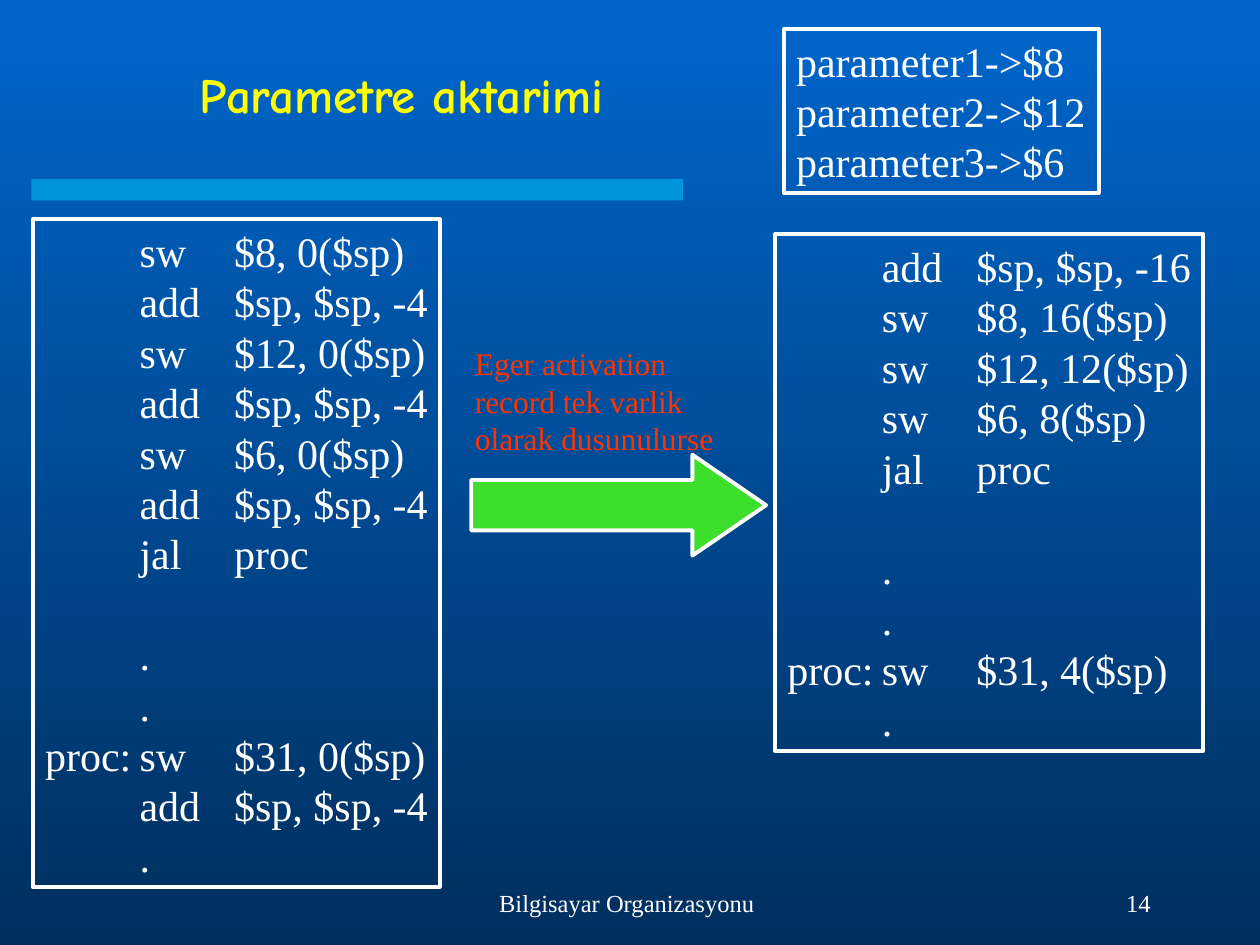
from lxml.etree import SubElement
from pptx import Presentation
from pptx.dml.color import RGBColor
from pptx.enum.shapes import MSO_SHAPE
from pptx.enum.text import MSO_ANCHOR, PP_ALIGN
from pptx.oxml.ns import qn
from pptx.util import Inches, Pt

HUES = {
    "top": "0066CC",
    "base": "002F5E",
    "bar": "00CCFF",
    "title": "FFFF00",
    "white": "FFFFFF",
    "arrow": "3DDE2C",
    "note": "FF3300",
}
SERIF = "Times New Roman"
TAB = 0.75
GAP = 0.4

PUSHES = [
    "\tsw\t$8, 0($sp)",
    "\tadd\t$sp, $sp, -4",
    "\tsw\t$12, 0($sp)",
    "\tadd\t$sp, $sp, -4",
    "\tsw\t$6, 0($sp)",
    "\tadd\t$sp, $sp, -4",
    "\tjal\tproc",
    "\t.",
    "\t.",
    "proc:\tsw\t$31, 0($sp)",
    "\tadd\t$sp, $sp, -4",
    "\t.",
]
RECORD = [
    "\tadd\t$sp, $sp, -16",
    "\tsw\t$8, 16($sp)",
    "\tsw\t$12, 12($sp)",
    "\tsw\t$6, 8($sp)",
    "\tjal\tproc",
    "\t.",
    "\t.",
    "proc:\tsw\t$31, 4($sp)",
    "\t.",
]
PARAMS = ["parameter1->$8", "parameter2->$12", "parameter3->$6"]


def hue(name):
    return RGBColor.from_string(HUES[name])


def paint(slide):
    fill = slide.background.fill
    fill.gradient()
    fill.gradient_angle = 270
    for stop, name, spot in zip(fill.gradient_stops, ("top", "base"), (0, 1)):
        stop.color.rgb = hue(name)
        stop.position = spot


def write(shape, lines, size=24, font=SERIF, color="white", bold=False,
          align=PP_ALIGN.LEFT, anchor=MSO_ANCHOR.TOP):
    frame = shape.text_frame
    frame.word_wrap = True
    frame.vertical_anchor = anchor
    frame.text = "\n".join(lines)
    for para in frame.paragraphs:
        para.alignment = align
        for run in para.runs:
            run.font.size = Pt(size)
            run.font.name = font
            run.font.bold = bold
            run.font.color.rgb = hue(color)
    return frame


def label(slide, at, lines, **style):
    return write(slide.shapes.add_textbox(*map(Inches, at)), lines, **style)


def block(slide, kind, at, fill=None, line=None):
    shape = slide.shapes.add_shape(kind, *map(Inches, at))
    shape.shadow.inherit = False
    if fill:
        shape.fill.solid()
        shape.fill.fore_color.rgb = hue(fill)
    else:
        shape.fill.background()
    if line:
        shape.line.color.rgb = hue(line)
        shape.line.width = Pt(2.25)
    else:
        shape.line.fill.background()
    return shape


def panel(slide, at, lines):
    shape = block(slide, MSO_SHAPE.RECTANGLE, at, line="white")
    frame = write(shape, lines)
    frame.margin_right = 0
    return frame


def code(slide, at, lines):
    frame = panel(slide, at, lines)
    for para in frame.paragraphs:
        tabs = SubElement(para._p.get_or_add_pPr(), qn("a:tabLst"))
        for step in (1, 2):
            SubElement(tabs, qn("a:tab"), pos=str(Inches(TAB * step)), algn="l")
    call = lines.index("\tjal\tproc")
    frame.paragraphs[call + 1].space_before = Inches(GAP)


def fade(shape, share):
    tint = shape.fill._xPr.find(qn("a:solidFill"))[0]
    SubElement(tint, qn("a:alpha"), val=str(share * 1000))


def main():
    deck = Presentation()
    deck.slide_width, deck.slide_height = Inches(10), Inches(7.5)
    slide = deck.slides.add_slide(deck.slide_layouts[6])
    paint(slide)

    bar = block(slide, MSO_SHAPE.RECTANGLE, (0.25, 1.42, 5.17, 0.17), fill="bar")
    fade(bar, 50)
    label(slide, (0.41, 0.28, 5.55, 0.93), ["Parametre aktarimi"], size=28,
          font="Comic Neue", color="title", bold=True,
          align=PP_ALIGN.CENTER, anchor=MSO_ANCHOR.MIDDLE)

    code(slide, (0.26, 1.74, 3.23, 5.3), PUSHES)
    panel(slide, (6.22, 0.23, 2.5, 1.3), PARAMS)
    code(slide, (6.15, 1.86, 3.4, 4.1), RECORD)

    arrow = block(slide, MSO_SHAPE.RIGHT_ARROW, (3.74, 3.61, 2.34, 0.8),
                  fill="arrow", line="white")
    arrow.adjustments[0] = 0.5
    arrow.adjustments[1] = 0.73
    label(slide, (3.67, 2.68, 2.09, 1),
          ["Eger activation\vrecord tek varlik\volarak dusunulurse"],
          size=18, color="note").margin_right = 0

    label(slide, (3.39, 7, 3.17, 0.5), ["Bilgisayar Organizasyonu"],
          size=14, align=PP_ALIGN.CENTER)
    label(slide, (7.15, 7, 2.08, 0.5), ["14"], size=14, align=PP_ALIGN.RIGHT)
    deck.save("out.pptx")


if __name__ == "__main__":
    main()
